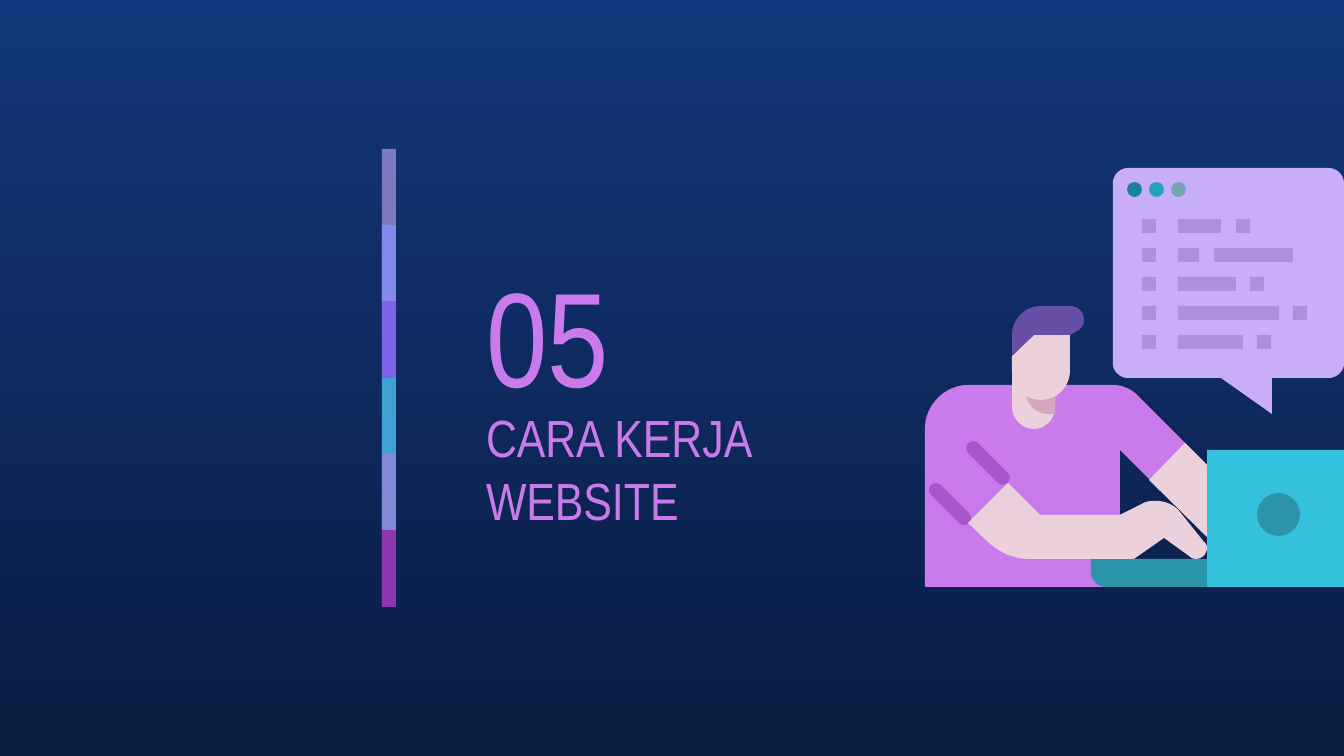
from lxml import etree
from pptx import Presentation
from pptx.dml.color import RGBColor
from pptx.enum.shapes import MSO_SHAPE
from pptx.enum.text import MSO_ANCHOR, MSO_AUTO_SIZE, PP_ALIGN
from pptx.oxml.ns import qn
from pptx.util import Pt

RECT, OVAL, PILL = MSO_SHAPE.RECTANGLE, MSO_SHAPE.OVAL, MSO_SHAPE.ROUNDED_RECTANGLE
MIDDLE, FIXED, LEFT = MSO_ANCHOR.MIDDLE, MSO_AUTO_SIZE.NONE, PP_ALIGN.LEFT
SCALE = 914400 / 134.4  # EMU in one px
STEPS = 12  # line pieces in each curve
FONT = "Arial Narrow"
HUES = {
    "top": "13367C", "base": "0A1D42", "pink": "CA7BEB", "plum": "A855CB",
    "cyan": "35C2DF", "teal": "2B94A9", "skin": "EAD1DC", "shade": "D5A6BD",
    "hair": "674EA7", "lilac": "C8AEF8", "code": "AB90DE", "blue": "878FFF",
    "violet": "9154F8", "wine": "972CB4", "dot1": "198298", "dot2": "22A2BC",
    "dot3": "76A5AF",
}
BARS = [("lilac", 59), ("blue", 74), ("violet", 53), ("cyan", 76), ("pink", 56), ("wine", 74)]
CODE = [  # left and width of the blocks in each line
    [(65, 43), (123, 14)],
    [(65, 21), (101, 79)],
    [(65, 58), (137, 14)],
    [(65, 101), (180, 14)],
    [(65, 65), (144, 14)],
]

# Outlines: a pair is a corner, six numbers are a cubic curve
BUBBLE = [(15, 0), (7, 0, 0, 7, 0, 15), (0, 196), (0, 203, 7, 210, 15, 210), (108, 210),
          (159, 246), (159, 210), (216, 210), (224, 210, 231, 203, 231, 196),
          (231, 15), (231, 7, 224, 0, 216, 0)]
SHIRT = [(43, 79), (20, 79, 0, 99, 0, 122), (0, 281), (195, 281), (195, 144), (282, 231),
         (282, 159), (213, 90), (207, 83, 197, 79, 188, 79)]
KEYS = [(166, 253), (166, 266), (166, 274, 173, 281, 181, 281), (282, 281), (282, 253)]
NECK = [(87, 58), (87, 101), (87, 113, 97, 123, 109, 123),
        (121, 123, 130, 113, 130, 101), (130, 58)]
SHADE = [(101, 58), (101, 86), (101, 98, 111, 108, 123, 108), (129, 108), (130, 101), (130, 58)]
HAND = [(83, 177), (43, 217), (63, 236), (74, 246, 88, 253, 103, 253), (209, 253), (239, 232),
        (264, 250), (266, 252, 268, 253, 271, 253), (277, 253, 282, 248, 282, 242),
        (282, 240, 281, 237, 279, 236), (255, 206), (250, 199, 240, 195, 231, 195),
        (227, 195, 221, 195, 217, 198), (195, 209), (115, 209)]
ARM = [(260, 137), (224, 174), (282, 231), (282, 159)]
FACE = [(109, 29), (87, 50), (87, 65), (87, 81, 100, 94, 116, 94),
        (132, 94, 145, 81, 145, 65), (145, 29)]
HAIR = [(116, 0), (100, 0, 87, 13, 87, 29), (87, 50), (109, 29), (145, 29), (152, 25),
        (156, 23, 159, 19, 159, 14), (159, 6, 153, 0, 145, 0)]


def emu(px):
    return round(px * SCALE)


def color(name):
    return RGBColor.from_string(HUES[name])


def paint(shape, hue):
    shape.shadow.inherit = False
    shape.fill.solid()
    shape.fill.fore_color.rgb = color(hue)
    shape.line.fill.background()
    return shape


def block(group, kind, box, hue):
    return paint(group.shapes.add_shape(kind, *map(emu, box)), hue)


def trace(rows):
    """Turn corners and curves into a list of points."""
    dots = [rows[0]]
    for row in rows[1:]:
        if len(row) == 2:
            dots.append(row)
            continue
        ends = [dots[-1], row[:2], row[2:4], row[4:]]
        for step in range(1, STEPS + 1):
            t = step / STEPS
            mix = ((1 - t) ** 3, 3 * t * (1 - t) ** 2, 3 * t * t * (1 - t), t ** 3)
            dots.append(tuple(sum(m * p[axis] for m, p in zip(mix, ends)) for axis in (0, 1)))
    return dots


def outline(group, x, y, rows, hue):
    dots = [(emu(x + a), emu(y + b)) for a, b in trace(rows)]
    form = group.shapes.build_freeform(*dots[0], scale=1.0)
    form.add_line_segments(dots[1:], close=True)
    return paint(form.convert_to_shape(), hue)


def stripe(slide, box):
    """Overlapping clear bars, each reaching under the next one."""
    x, y, w, h = box
    group = slide.shapes.add_group_shape()
    count = len(BARS)
    for i, (hue, alpha) in enumerate(BARS):
        top, end = (h * n // count for n in (i, min(i + 2, count)))
        bar = block(group, RECT, (x, y + top, w, end - top), hue)
        tint = next(bar.element.iter(qn("a:srgbClr")))
        etree.SubElement(tint, qn("a:alpha"), val=str(alpha * 1000))


def label(holder, box, text, size):
    holder.left, holder.top, holder.width, holder.height = map(emu, box)
    frame = holder.text_frame
    frame.text = text
    pad = emu(13)
    look = {"word_wrap": True, "auto_size": FIXED, "vertical_anchor": MIDDLE,
            "margin_left": pad, "margin_right": pad, "margin_top": pad, "margin_bottom": pad}
    for key, value in look.items():
        setattr(frame, key, value)
    para = frame.paragraphs[0]
    for key, value in {"alignment": LEFT, "line_spacing": 1.0, "space_before": Pt(0)}.items():
        setattr(para, key, value)
    font = para.runs[0].font
    for key, value in {"name": FONT, "size": Pt(size), "bold": False}.items():
        setattr(font, key, value)
    font.color.rgb = color("pink")


def heading(slide, box):
    x, y, w, h = box
    number, title = slide.placeholders
    label(number, (x, y, 235, 181), "05", 72)
    label(title, (x, y + 180, w, h - 180), "CARA KERJA WEBSITE", 28)


def worker(slide, box):
    x, y, w, h = box
    group = slide.shapes.add_group_shape()
    # Shirt with two sleeve folds
    outline(group, x, y, SHIRT, "pink")
    for left, top, long in ((-2, 191, 54), (35, 150, 56)):
        fold = block(group, PILL, (x + left, y + top, long, 14), "plum")
        fold.adjustments[0] = 0.5
        fold.rotation = 45
    # Laptop, arms and head
    block(group, RECT, (x + 282, y + 144, w - 282, h - 144), "cyan")
    for rows, hue in ((KEYS, "teal"), (NECK, "skin"), (SHADE, "shade"), (HAND, "skin"),
                      (ARM, "skin"), (FACE, "skin"), (HAIR, "hair")):
        outline(group, x, y, rows, hue)
    block(group, OVAL, (x + 332, y + 187, 43, 43), "teal")


def bubble(slide, x, y):
    group = slide.shapes.add_group_shape()
    outline(group, x, y, BUBBLE, "lilac")
    # Window buttons
    for i, hue in enumerate(("dot1", "dot2", "dot3")):
        block(group, OVAL, (x + 14 + 22 * i, y + 14, 15, 15), hue)
    # Code lines
    for i, line in enumerate(CODE):
        for left, wide in [(29, 14)] + line:
            block(group, RECT, (x + left, y + 51 + 29 * i, wide, 14), "code")


def main():
    deck = Presentation()
    deck.slide_width, deck.slide_height = emu(1344), emu(756)
    slide = deck.slides.add_slide(deck.slide_layouts[0])
    # Background
    fill = slide.background.fill
    fill.gradient()
    fill.gradient_angle = 270
    for stop, hue in zip(fill.gradient_stops, ("top", "base")):
        stop.color.rgb = color(hue)
    stripe(slide, (382, 149, 14, 458))
    heading(slide, (473, 243, 386, 270))
    worker(slide, (925, 306, 419, 281))
    bubble(slide, 1113, 168)
    deck.save("out.pptx")


if __name__ == "__main__":
    main()
